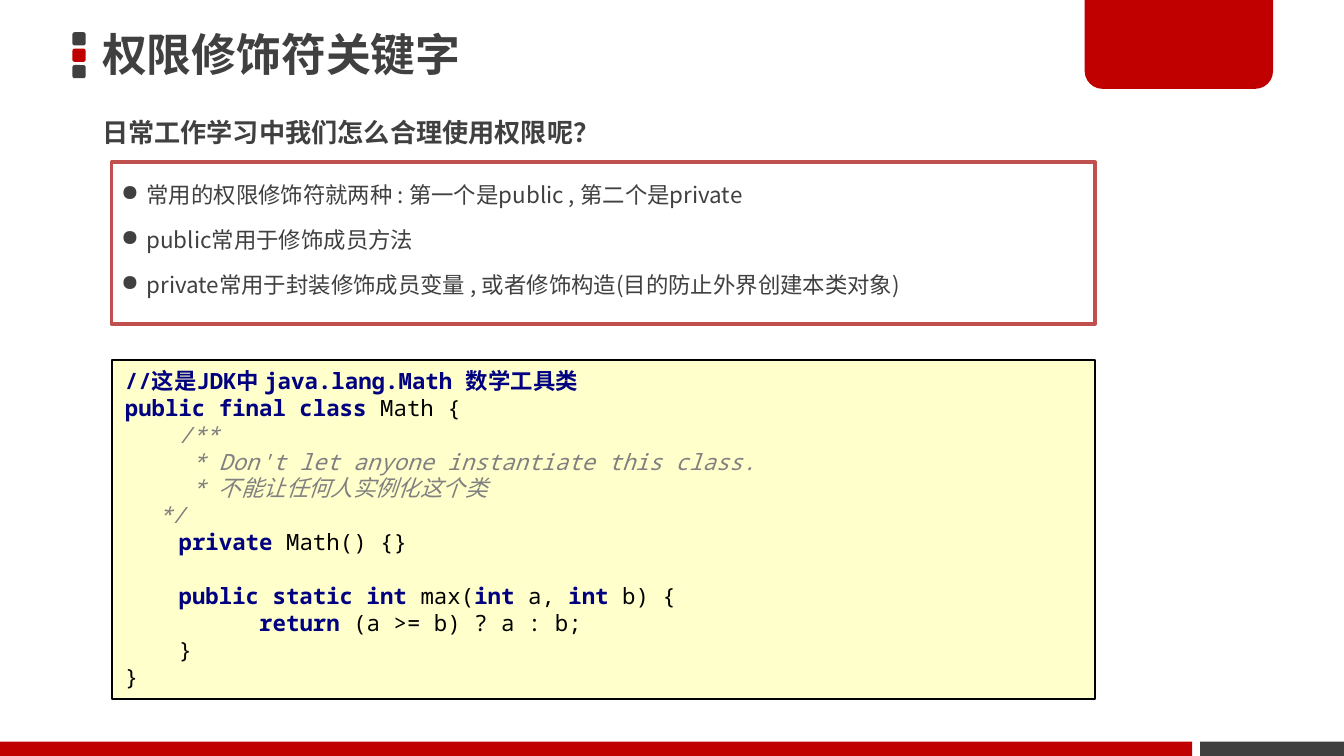
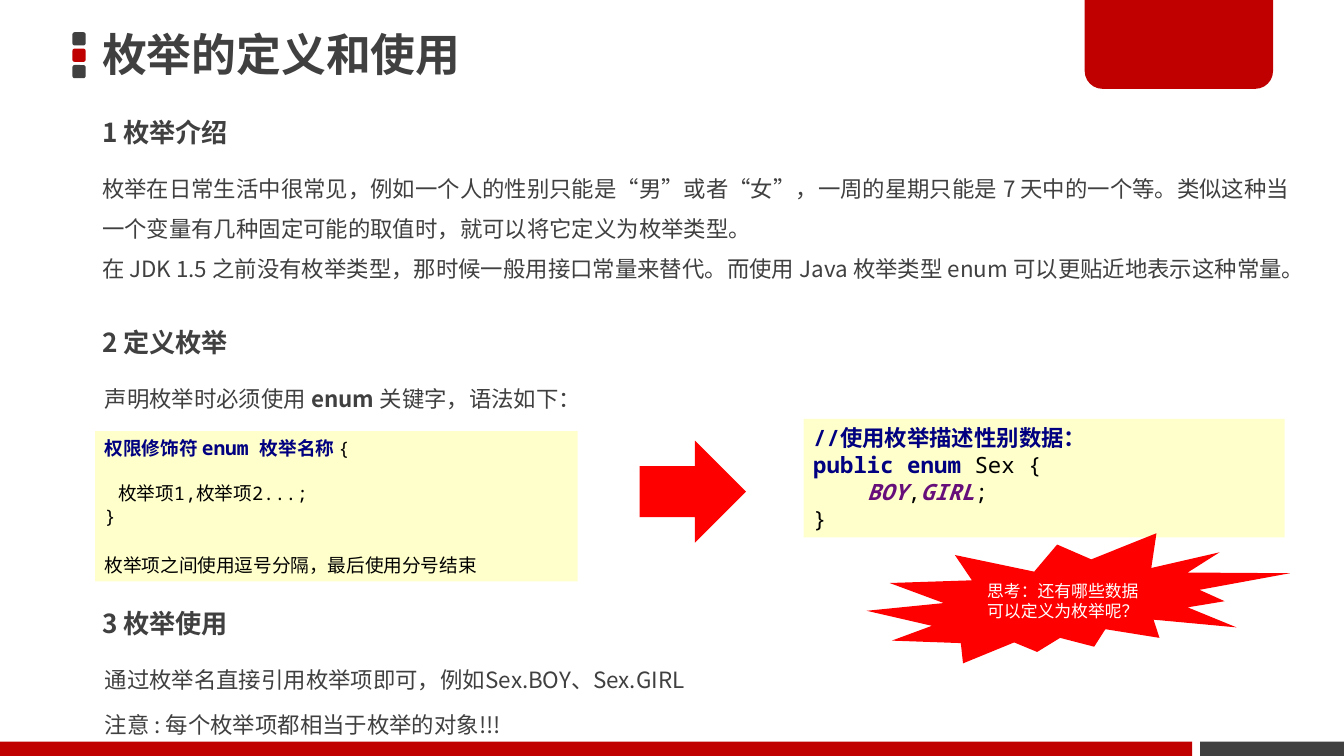
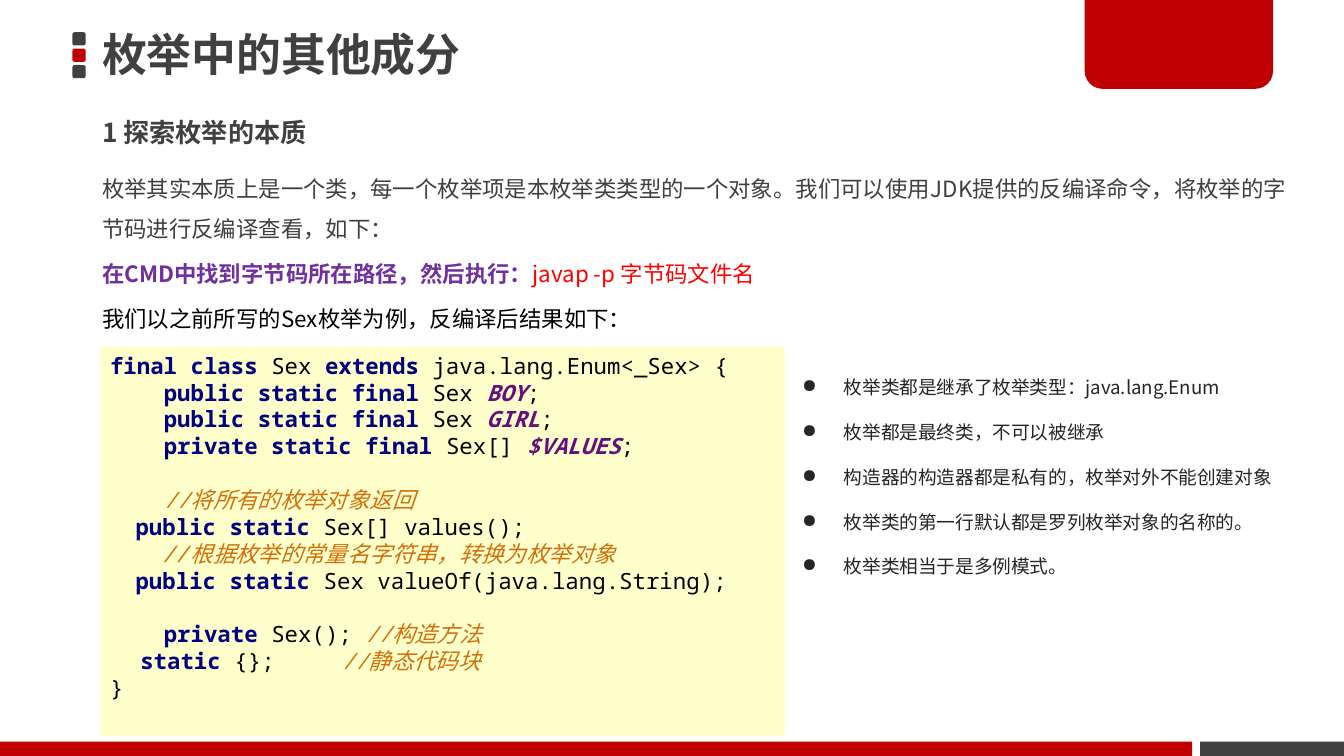
from dataclasses import dataclass
from functools import partial

from lxml import etree
from pptx import Presentation, util as u
from pptx.dml.color import RGBColor
from pptx.enum import shapes, text as t
from pptx.oxml.ns import qn


@dataclass(frozen=True)
class Theme:
    """Colours, fonts, type sizes and insets shared by the slides."""
    red: str = "C00000"
    gray: str = "404040"
    white: str = "FFFFFF"
    black: str = "000000"
    ink: str = "262626"
    signal: str = "FF0000"
    frame: str = "C0504D"
    purple: str = "7030A0"
    code_fill: str = "FFFFCC"
    keyword: str = "000080"
    comment: str = "808080"
    remark: str = "D27009"
    constant: str = "660E7A"
    sans: str = "Noto Sans CJK JP"
    mono: str = "Noto Sans Mono"
    courier: str = "Courier New"
    title: float = 24
    heading: float = 14
    body: float = 12
    small: float = 10
    callout: float = 9
    column: float = 0.254
    code_line: float = 14.4
    tight: tuple = (0.18, 0.1)
    roomy: tuple = (0.25, 0.13)


THEME = Theme()


@dataclass
class Line:
    """One paragraph: its spans and its spacing, indent and bullet."""
    spans: tuple
    indent: float = 0
    hang: float = 0
    before: float = 0
    spacing: float = 1
    align: object = t.PP_ALIGN.LEFT
    tab: float = 0


def span(content, **style):
    """Pair text with the format it takes."""
    return content, style


plain = partial(span, font=THEME.mono, color=THEME.black)
key = partial(span, font=THEME.mono, color=THEME.keyword, bold=True)
doc = partial(span, font=THEME.mono, color=THEME.comment, italic=True)
const = partial(span, font=THEME.mono, color=THEME.constant, bold=True, italic=True)
remark = partial(span, font=THEME.mono, color=THEME.remark, italic=True)
courier_remark = partial(remark, font=THEME.courier)


def code(columns, *spans, blank=0, tab=0):
    """Make a code line indented by columns, after blank points of space."""
    return Line(spans, indent=columns * THEME.column, before=blank, tab=tab)


def prose(*spans, before=0.2 * THEME.body):
    """Make a body paragraph with wide line spacing."""
    return Line(spans, before=before, spacing=1.5)


def bullet(content, hang, spacing, before=0, **style):
    """Make a bulleted paragraph."""
    return Line((span(content, **style),), indent=hang, hang=hang, before=before, spacing=spacing)


def add_text(paragraph, content, *, size=THEME.body, color=THEME.gray, font=THEME.sans,
             bold=False, italic=False):
    """Add one formatted run to a paragraph."""
    run = paragraph.add_run()
    run.text = content
    run.font.size = u.Pt(size)
    run.font.name = font
    run.font.bold = bold
    run.font.italic = italic
    run.font.color.rgb = RGBColor.from_string(color)
    east_asian = etree.SubElement(run.font._element, qn("a:ea"))
    east_asian.set("typeface", THEME.sans)


def write_line(paragraph, line):
    """Fill a paragraph from a line."""
    paragraph.alignment = line.align
    paragraph.line_spacing = line.spacing
    paragraph.space_before = u.Pt(line.before)
    properties = paragraph._p.get_or_add_pPr()
    properties.set("marL", str(u.Cm(line.indent)))
    properties.set("indent", str(-u.Cm(line.hang)))
    if line.hang:
        etree.SubElement(properties, qn("a:buChar")).set("char", "●")
    if line.tab:
        stops = etree.SubElement(properties, qn("a:tabLst"))
        etree.SubElement(stops, qn("a:tab"), pos=str(u.Cm(line.tab)), algn="l")
    for content, style in line.spans:
        add_text(paragraph, content, **style)


def write_lines(shape, lines, inset=THEME.tight, anchor=t.MSO_ANCHOR.TOP):
    """Fill the text frame of a shape."""
    frame = shape.text_frame
    frame.word_wrap = True
    frame.vertical_anchor = anchor
    frame.margin_left = frame.margin_right = u.Cm(inset[0])
    frame.margin_top = frame.margin_bottom = u.Cm(inset[1])
    for index, line in enumerate(lines):
        write_line(frame.add_paragraph() if index else frame.paragraphs[0], line)


def add_box(slide, box, lines, **layout):
    """Add a text box."""
    write_lines(slide.shapes.add_textbox(*map(u.Cm, box)), lines, **layout)


def add_block(slide, kind, box, fill, line=None, width=1):
    """Add a filled preset shape."""
    shape = slide.shapes.add_shape(kind, *map(u.Cm, box))
    shape.shadow.inherit = False
    shape.fill.solid()
    shape.fill.fore_color.rgb = RGBColor.from_string(fill)
    if line:
        shape.line.color.rgb = RGBColor.from_string(line)
        shape.line.width = u.Pt(width)
    else:
        shape.line.fill.background()
    return shape


def add_panel(slide, box, lines, fill=THEME.code_fill, line=None, width=1, inset=THEME.tight):
    """Add a rectangle that holds text or code."""
    panel = add_block(slide, shapes.MSO_SHAPE.RECTANGLE, box, fill, line, width)
    write_lines(panel, lines, inset)


def add_heading(slide, content, top=1.96, width=10.36, size=THEME.heading, before=0.2 * THEME.heading):
    """Add a bold heading at the shared left edge."""
    line = Line((span(content, size=size, bold=True),), before=before)
    add_box(slide, (1.75, top, width, 1.07), [line], anchor=t.MSO_ANCHOR.MIDDLE)


def add_page(presentation, title):
    """Add a slide with the shared marks, tab, footer bands and title."""
    slide = presentation.slides.add_slide(presentation.slide_layouts[6])
    for row, color in enumerate((THEME.gray, THEME.red, THEME.gray)):
        add_block(slide, shapes.MSO_SHAPE.ROUNDED_RECTANGLE,
                  (1.37, 0.61 + row * 0.31, 0.25, 0.25), color)
    tab = add_block(slide, shapes.MSO_SHAPE.ROUND_2_SAME_RECTANGLE, (20.5, 0, 3.56, 1.68), THEME.red)
    tab.adjustments[0], tab.adjustments[1] = 0, 0.2
    for left, width, color in ((22.68, 2.72, THEME.gray), (0, 22.53, THEME.red)):
        add_block(slide, shapes.MSO_SHAPE.RECTANGLE, (left, 14.02, width, 0.27), color)
    add_heading(slide, title, top=0.48, width=18.26, size=THEME.title, before=0)
    return slide


def build_modifiers(presentation):
    """Build the slide on access modifiers."""
    slide = add_page(presentation, "权限修饰符关键字")
    add_heading(slide, "日常工作学习中我们怎么合理使用权限呢？")
    rules = (
        "常用的权限修饰符就两种 : 第一个是public , 第二个是private",
        "public常用于修饰成员方法",
        "private常用于封装修饰成员变量 , 或者修饰构造(目的防止外界创建本类对象)",
    )
    add_panel(slide, (2.11, 3.07, 18.59, 3.05),
              [bullet(rule, 0.48, 1.5, before=0.2 * THEME.body) for rule in rules],
              fill=THEME.white, line=THEME.frame, width=2)
    add_panel(slide, (2.11, 6.81, 18.59, 6.4), [
        code(0, key("//这是JDK中 java.lang.Math 数学工具类")),
        code(0, key("public final class "), plain("Math {")),
        code(4, doc("/**")),
        code(5, doc("* Don't let anyone instantiate this class.")),
        code(5, doc("* 不能让任何人实例化这个类")),
        code(2.5, doc("*/")),
        code(4, key("private "), plain("Math() {}")),
        code(4, key("public static int "), plain("max("), key("int "), plain("a, "),
             key("int "), plain("b) {"), blank=THEME.code_line),
        code(10, key("return "), plain("(a >= b) ? a : b;")),
        code(4, plain("}")),
        code(0, plain("}")),
    ], line=THEME.black, inset=THEME.roomy)


def build_enum_use(presentation):
    """Build the slide on defining and using enums."""
    slide = add_page(presentation, "枚举的定义和使用")
    for content, top in (("1 枚举介绍", 1.96), ("2 定义枚举", 5.94), ("3 枚举使用", 11.25)):
        add_heading(slide, content, top)
    add_box(slide, (1.75, 2.95, 23.22, 2.62), [
        prose(span("枚举在日常生活中很常见，例如一个人的性别只能是“男”或者“女”，一周的星期只能是 7 天中的一个等。"
                   "类似这种当一个变量有几种固定可能的取值时，就可以将它定义为枚举类型。")),
        prose(span("在 JDK 1.5 之前没有枚举类型，那时候一般用接口常量来替代。"
                   "而使用 Java 枚举类型 enum 可以更贴近地表示这种常量。"), before=0),
    ])
    small = partial(plain, size=THEME.small)
    small_key = partial(key, size=THEME.small)
    add_panel(slide, (1.8, 8.15, 9.12, 2.84), [
        code(0, small_key("权限修饰符 "), key("enum", size=10.5), small_key(" 枚举名称 "), small("{")),
        code(1, small("枚举项1,枚举项2...;"), blank=12),
        code(0, small("}")),
        code(0, small("枚举项之间使用逗号分隔，最后使用分号结束"), blank=THEME.code_line),
    ])
    add_box(slide, (1.8, 6.93, 10.31, 1.07), [
        prose(span("声明枚举时必须使用 "), span("enum ", bold=True), span("关键字，语法如下：")),
    ])
    add_panel(slide, (15.19, 7.92, 9.09, 2.24), [
        code(0, key("//使用枚举描述性别数据：")),
        code(0, key("public enum "), plain("Sex {")),
        code(4, const("BOY"), plain(","), const("GIRL"), plain(";")),
        code(0, plain("}")),
    ])
    add_block(slide, shapes.MSO_SHAPE.RIGHT_ARROW, (12.09, 8.33, 2.01, 1.93), THEME.signal)
    add_box(slide, (1.8, 12.24, 22.5, 1.65), [
        prose(span("通过枚举名直接引用枚举项即可，例如Sex.BOY、Sex.GIRL")),
        prose(span("注意 : 每个枚举项都相当于枚举的对象!!!")),
    ])
    burst = add_block(slide, shapes.MSO_SHAPE.EXPLOSION2, (16.38, 10.08, 8, 2.46), THEME.signal)
    question = span("思考：还有哪些数据可以定义为枚举呢？", size=THEME.callout, color=THEME.white)
    write_lines(burst, [Line((question,), align=t.PP_ALIGN.CENTER)], THEME.roomy, t.MSO_ANCHOR.MIDDLE)


def build_enum_members(presentation):
    """Build the slide on what an enum contains."""
    slide = add_page(presentation, "枚举中的其他成分")
    add_heading(slide, "1 探索枚举的本质")
    add_box(slide, (1.75, 2.95, 22.76, 3.4), [
        prose(span("枚举其实本质上是一个类，每一个枚举项是本枚举类类型的一个对象。"
                   "我们可以使用JDK提供的反编译命令，将枚举的字节码进行反编译查看，如下：")),
        prose(span("在CMD中找到字节码所在路径，然后执行：", color=THEME.purple, bold=True),
              span("javap -p 字节码文件名", color=THEME.signal)),
        prose(span("我们以之前所写的Sex枚举为例，反编译后结果如下：", color=THEME.black)),
    ])
    constants = [
        code(4, key(f"{access} static final "), plain(f"{kind} "), const(name), plain(";"))
        for access, kind, name in (("public", "Sex", "BOY"), ("public", "Sex", "GIRL"),
                                   ("private", "Sex[]", "$VALUES"))
    ]
    add_panel(slide, (1.9, 6.55, 12.93, 7.37), [
        code(0, key("final class "), plain("Sex "), key("extends "), plain("java.lang.Enum<_Sex> {")),
        *constants,
        code(4, remark("//"), courier_remark("将所有的枚举对象返回"), blank=THEME.code_line),
        code(1.9, key("public static "), plain("Sex[] values();")),
        code(4, courier_remark("//根据枚举的常量名字符串，转换为枚举对象")),
        code(1.9, key("public static "), plain("Sex valueOf(java.lang.String);")),
        code(4, key("private "), plain("Sex(); "), remark("//构造方法"), blank=THEME.code_line),
        code(2.25, key("static "), plain("{};\t"), remark("//静态代码块"), tab=4.4),
        code(0, plain("}")),
    ])
    traits = (
        "枚举类都是继承了枚举类型：java.lang.Enum",
        "枚举都是最终类，不可以被继承",
        "构造器的构造器都是私有的，枚举对外不能创建对象",
        "枚举类的第一行默认都是罗列枚举对象的名称的。",
        "枚举类相当于是多例模式。",
    )
    add_box(slide, (14.91, 6.55, 9.6, 4.95),
            [bullet(trait, 0.79, 2, size=THEME.small, color=THEME.ink) for trait in traits],
            inset=THEME.roomy)


def main():
    """Build and save the presentation."""
    presentation = Presentation()
    presentation.slide_width, presentation.slide_height = u.Cm(25.4), u.Cm(14.29)
    build_modifiers(presentation)
    build_enum_use(presentation)
    build_enum_members(presentation)
    presentation.save("out.pptx")


if __name__ == "__main__":
    main()
